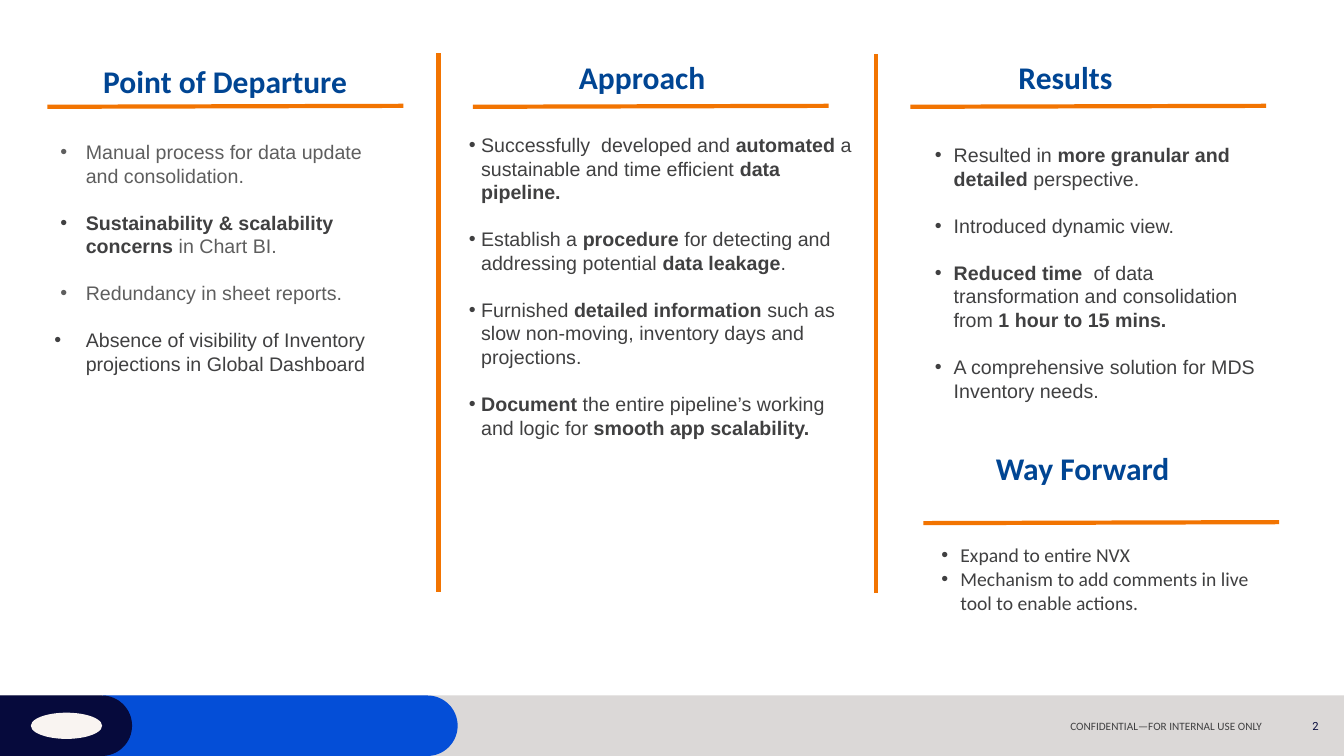
"""Build a slide with project background, approach, results and next steps."""
import math
from dataclasses import dataclass

import lxml.etree
import pptx
import pptx.dml.color
import pptx.enum.shapes
import pptx.enum.text
import pptx.oxml.ns
import pptx.slide
import pptx.util

RGB = pptx.dml.color.RGBColor
ORANGE = RGB(0xF2, 0x74, 0x01)
NAVY = RGB(0x06, 0x0A, 0x3C)
BLUE = RGB(0x04, 0x4E, 0xD7)
HEAD = RGB(0x00, 0x45, 0x93)
INK = RGB(0x40, 0x40, 0x41)
GREY = RGB(0x5E, 0x5E, 0x5E)
SAND = RGB(0xDB, 0xD8, 0xD7)
CREAM = RGB(0xF9, 0xF4, 0xF1)

WIDE = pptx.util.Inches(13.33)
HIGH = pptx.util.Inches(7.5)
LINE = pptx.util.Pt(16.8)
ALIGN = pptx.enum.text.PP_ALIGN
ANCHOR = pptx.enum.text.MSO_ANCHOR
SHAPE = pptx.enum.shapes.MSO_SHAPE
qn = pptx.oxml.ns.qn


def col(n: float) -> int:
    return int(WIDE * n / 100)


def row(n: float) -> int:
    return int(HIGH * n / 100)


@dataclass
class Box:
    x: float
    y: float
    w: float
    h: float

    def place(self, shape) -> None:
        shape.left, shape.top = col(self.x), row(self.y)
        shape.width, shape.height = col(self.w), row(self.h)


@dataclass
class Title:
    text: str
    box: Box


@dataclass
class Item:
    text: str
    left: float
    hang: float
    tone: RGB = INK


@dataclass
class Bullets:
    slot: int
    box: Box
    items: list[Item]
    gap: int = LINE
    face: str = "Arial"
    pad: tuple[float, float] = (0.75, 0.67)


@dataclass
class Rule:
    x: float
    y: float
    dx: float
    dy: float


TITLES = [
    Title("Point of Departure", Box(1.95, 7.47, 29.62, 7.6)),
    Title("Approach", Box(40.28, 7.07, 15, 7.6)),
    Title("Results", Box(71.78, 7.07, 15, 7.6)),
    Title("Way Forward", Box(70.2, 58.8, 20.7, 7.6)),
]

LISTS = [
    Bullets(1, Box(3.75, 18.27, 26.25, 31.87), [
        Item("Manual process for data update and consolidation.", 2.33, 1.88, GREY),
        Item("*Sustainability & scalability concerns *in Chart BI.", 2.33, 1.88, GREY),
        Item("Redundancy in sheet reports.", 2.33, 1.88, GREY),
        Item("Absence of visibility of Inventory projections in Global Dashboard", 2.33, 2.33),
    ], pad=(0.3, 0.27)),
    Bullets(2, Box(34.58, 17.33, 29.4, 44), [Item(text, 0.92, 0.92) for text in (
        "Successfully  developed and *automated *a sustainable and time efficient *data pipeline.*",
        "Establish a *procedure* for detecting and addressing potential *data leakage*.",
        "Furnished *detailed information* such as slow non-moving, inventory days and projections.",
        "*Document* the entire pipeline’s working and logic for *smooth app scalability.*",
    )], pad=(0.3, 0.27)),
    Bullets(3, Box(68.33, 18.27, 25.88, 42.67), [Item(text, 1.88, 1.41) for text in (
        "Resulted in *more granular and detailed* perspective.",
        "Introduced dynamic view.",
        "*Reduced time*  of data transformation and consolidation from *1 hour to 15 mins.*",
        "A comprehensive solution for MDS Inventory needs.",
    )]),
    Bullets(4, Box(69.3, 71.2, 25.88, 10.8), [Item(text, 1.41, 1.41) for text in (
        "Expand to entire NVX",
        "Mechanism to add comments in live tool to enable actions.",
    )], gap=0, face="Calibri"),
]

RULES = [Rule(32.63, 7.07, 0, 71.2), Rule(65.18, 7.2, 0, 71.2)] + [
    Rule(x, y, 26.48, -0.13)
    for x, y in ((3.53, 14.13), (35.18, 14.13), (67.73, 14.13), (68.7, 69.2))
]


def paint(shape, tone: RGB) -> None:
    shape.shadow.inherit = False
    shape.fill.solid()
    shape.fill.fore_color.rgb = tone
    shape.line.fill.background()


def draw_block(slide: pptx.slide.Slide, kind: int, box: Box, tone: RGB) -> None:
    shape = slide.shapes.add_shape(kind, 0, 0, 0, 0)
    box.place(shape)
    paint(shape, tone)


def draw_tab(slide: pptx.slide.Slide, left: float, right: float, tone: RGB) -> None:
    turns = [math.pi * (n / 32 - 0.5) for n in range(33)]
    curve = [(col(right - 2.25 + 2.25 * math.cos(t)), row(96 + 4 * math.sin(t))) for t in turns]
    form = slide.shapes.build_freeform(col(left), row(92), scale=1.0)
    form.add_line_segments(curve + [(col(left), row(100))], close=True)
    paint(form.convert_to_shape(), tone)


def draw_rule(slide: pptx.slide.Slide, rule: Rule) -> None:
    line = slide.shapes.add_connector(
        pptx.enum.shapes.MSO_CONNECTOR.STRAIGHT,
        col(rule.x), row(rule.y), col(rule.x + rule.dx), row(rule.y + rule.dy))
    line.line.color.rgb = ORANGE
    line.line.width = pptx.util.Pt(3)
    lxml.etree.SubElement(line._element.spPr, qn("a:effectLst"))


def style(para, face: str, size: float, tone: RGB, bold: bool = False) -> None:
    font = para.font
    font.name, font.size, font.bold = face, pptx.util.Pt(size), bold
    font.color.rgb = tone


def set_frame(shape, box: Box, anchor=ANCHOR.TOP):
    box.place(shape)
    frame = shape.text_frame
    frame.word_wrap = True
    frame.auto_size = pptx.enum.text.MSO_AUTO_SIZE.NONE
    frame.vertical_anchor = anchor
    return frame


def draw_title(shape, title: Title) -> None:
    para = set_frame(shape, title.box).paragraphs[0]
    para.text = title.text
    para.alignment = ALIGN.CENTER
    style(para, "Calibri", 22.5, HEAD, True)


def draw_list(slide: pptx.slide.Slide, spot: Bullets) -> None:
    frame = set_frame(slide.placeholders[spot.slot], spot.box)
    frame.margin_left = frame.margin_right = col(spot.pad[0])
    frame.margin_top = frame.margin_bottom = row(spot.pad[1])
    for n, item in enumerate(spot.items):
        para = frame.add_paragraph() if n else frame.paragraphs[0]
        props = para._p.get_or_add_pPr()
        props.set("marL", str(col(item.left)))
        props.set("indent", str(-col(item.hang)))
        lxml.etree.SubElement(props, qn("a:buFont"), typeface="Arial")
        lxml.etree.SubElement(props, qn("a:buChar"), char="•")
        para.line_spacing = LINE
        para.space_before = pptx.util.Emu(spot.gap if n else 0)
        para.space_after = pptx.util.Pt(0)
        style(para, spot.face, 14, item.tone)
        for part, text in enumerate(item.text.split("*")):
            if text:
                run = para.add_run()
                run.text = text
                if part % 2:
                    run.font.bold = True
                    run.font.color.rgb = INK


def draw_note(slide: pptx.slide.Slide, text: str, box: Box, face: str, tone: RGB) -> None:
    shape = slide.shapes.add_textbox(0, 0, 0, 0)
    para = set_frame(shape, box, ANCHOR.MIDDLE).paragraphs[0]
    para.text = text
    para.alignment = ALIGN.RIGHT
    style(para, face, 8, tone)


def main() -> None:
    deck = pptx.Presentation()
    deck.slide_width, deck.slide_height = WIDE, HIGH
    slide = deck.slides.add_slide(deck.slide_layouts.get_by_name("Comparison"))
    draw_block(slide, SHAPE.RECTANGLE, Box(0, 92, 100, 8), SAND)
    draw_tab(slide, 7.65, 34.05, BLUE)
    draw_tab(slide, 0, 9.83, NAVY)
    draw_block(slide, SHAPE.OVAL, Box(2.3, 94.27, 5.3, 3.47), CREAM)
    draw_note(slide, "CONFIDENTIAL—FOR INTERNAL USE ONLY", Box(71.03, 94.4, 23.63, 3.2), "Calibri", INK)
    draw_note(slide, "2", Box(94.13, 93.33, 4.73, 5.33), "Roboto", NAVY)
    for rule in RULES:
        draw_rule(slide, rule)
    draw_title(slide.shapes.title, TITLES[0])
    for title in TITLES[1:]:
        draw_title(slide.shapes.add_textbox(0, 0, 0, 0), title)
    for spot in LISTS:
        draw_list(slide, spot)
    deck.save("out.pptx")


if __name__ == "__main__":
    main()
